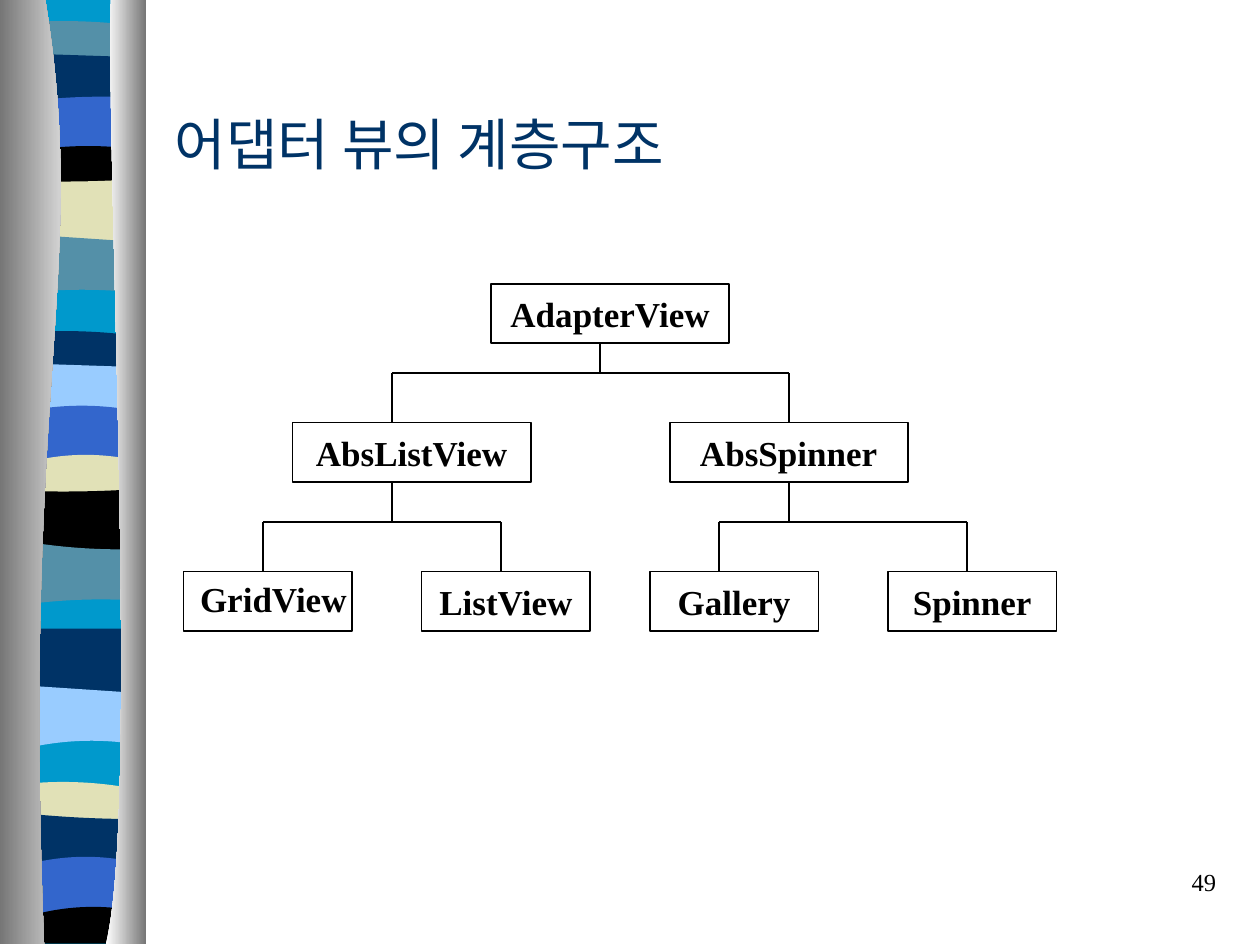
from dataclasses import dataclass

from lxml.etree import SubElement
from pptx import Presentation
from pptx.dml.color import RGBColor
from pptx.enum.shapes import MSO_CONNECTOR, MSO_SHAPE
from pptx.enum.text import MSO_ANCHOR, PP_ALIGN
from pptx.oxml.ns import qn
from pptx.util import Inches, Mm, Pt


@dataclass(frozen=True)
class Theme:
    ink: str = "000000"
    paper: str = "FFFFFF"
    navy: str = "003366"
    blue: str = "3366CC"
    sky: str = "99CCFF"
    teal: str = "0099CC"
    slate: str = "5490A8"
    sand: str = "E1E1B7"
    metal: str = "767676"
    title_font: str = "Noto Sans CJK KR"
    body_font: str = "Times New Roman"
    title_size: int = 32
    node_size: int = 20
    number_size: int = 14


THEME = Theme()


@dataclass(frozen=True)
class Band:
    """A ribbon stripe; its top edge passes through three heights in inches."""
    color: str
    left: float
    middle: float
    right: float


@dataclass(frozen=True)
class Node:
    """A class box on the 1 mm grid; label_shift moves the label right and up."""
    name: str
    column: int
    row: int
    width: int
    label_shift: tuple = (0, 0)


@dataclass(frozen=True)
class Branch:
    """A stem leaving a box, a crossbar, and a drop to each child box."""
    stem: int
    start_row: int
    bar_row: int
    drops: tuple
    end_row: int


BANDS = [
    Band(THEME.teal, 0, 0, 0),
    Band(THEME.slate, 0.17, 0.17, 0.19),
    Band(THEME.navy, 0.43, 0.44, 0.45),
    Band(THEME.blue, 0.79, 0.77, 0.77),
    Band(THEME.ink, 1.18, 1.16, 1.17),
    Band(THEME.sand, 1.44, 1.44, 1.43),
    Band(THEME.slate, 1.87, 1.89, 1.91),
    Band(THEME.teal, 2.31, 2.3, 2.31),
    Band(THEME.navy, 2.63, 2.63, 2.65),
    Band(THEME.sky, 2.89, 2.9, 2.91),
    Band(THEME.blue, 3.24, 3.22, 3.24),
    Band(THEME.sand, 3.64, 3.61, 3.63),
    Band(THEME.ink, 3.9, 3.9, 3.89),
    Band(THEME.slate, 4.32, 4.35, 4.36),
    Band(THEME.teal, 4.78, 4.76, 4.76),
    Band(THEME.navy, 4.99, 4.99, 4.99),
    Band(THEME.sky, 5.45, 5.47, 5.49),
    Band(THEME.teal, 5.91, 5.88, 5.89),
    Band(THEME.sand, 6.21, 6.21, 6.24),
    Band(THEME.navy, 6.47, 6.49, 6.5),
    Band(THEME.blue, 6.83, 6.8, 6.82),
    Band(THEME.ink, 7.24, 7.2, 7.21),
]
RIBBON_END = Band(THEME.teal, 7.49, 7.49, 7.49)
RIBBON_LEFT, RIBBON_RIGHT = 0.06, 1.14
BAND_OVERLAP = 0.02
UNITS = 1000  # outline units to the inch

BOX_HEIGHT, GRID_TOP = 12, 0.2
TOP_ROW, MIDDLE_ROW, LEAF_ROW = 57, 85, 115
NODES = [
    Node("AdapterView", 99, TOP_ROW, 48),
    Node("AbsListView", 59, MIDDLE_ROW, 48),
    Node("AbsSpinner", 135, MIDDLE_ROW, 48),
    Node("GridView", 37, LEAF_ROW, 34, label_shift=(1.1, 0.5)),
    Node("ListView", 85, LEAF_ROW, 34),
    Node("Gallery", 131, LEAF_ROW, 34),
    Node("Spinner", 179, LEAF_ROW, 34),
]
BRANCHES = [
    Branch(121, TOP_ROW + BOX_HEIGHT, 75, (79, 159), MIDDLE_ROW),
    Branch(79, MIDDLE_ROW + BOX_HEIGHT, 105, (53, 101), LEAF_ROW),
    Branch(159, MIDDLE_ROW + BOX_HEIGHT, 105, (145, 195), LEAF_ROW),
]


def color_of(code: str) -> RGBColor:
    return RGBColor.from_string(code)


def write_text(shape, text: str, *, size: int, font: str = THEME.body_font,
               color: str = THEME.ink, bold: bool = False, align=PP_ALIGN.LEFT,
               anchor=MSO_ANCHOR.TOP, wrap: bool = True) -> None:
    frame = shape.text_frame
    frame.word_wrap = wrap
    frame.vertical_anchor = anchor
    para = frame.paragraphs[0]
    para.alignment = align
    span = para.add_run()
    span.text = text
    span.font.name, span.font.size, span.font.bold = font, Pt(size), bold
    span.font.color.rgb = color_of(color)
    SubElement(span.font._element, qn("a:ea")).set("typeface", font)


def draw_outline(page, points: list, curve_starts: tuple = ()):
    """Closed outline; three points from each curve start form one Bezier curve."""
    scaled = [(x * UNITS, y * UNITS) for x, y in points]
    builder = page.shapes.build_freeform(*scaled[0], scale=Inches(1) / UNITS)
    builder.add_line_segments(scaled[1:], close=True)
    shape = builder.convert_to_shape()
    outline = next(shape._element.iter(qn("a:path")))
    segments = list(outline)
    for start in curve_starts:
        curve = SubElement(outline, qn("a:cubicBezTo"))
        outline.replace(segments[start], curve)
        curve.append(segments[start][0])
        for segment in segments[start + 1:start + 3]:
            curve.append(segment[0])
            outline.remove(segment)
    shape.shadow.inherit = False
    shape.line.fill.background()
    return shape


def band_edge(band: Band, offset: float = 0) -> list:
    """Bezier points of the parabola through the three heights of a band."""
    slope = (band.right - band.left) / 2
    bend = (band.right + band.left) / 2 - band.middle
    start, end = (RIBBON_LEFT - 0.65) / 0.3, (RIBBON_RIGHT - 0.65) / 0.3
    third = (end - start) / 3
    first, last = (band.middle + slope * u + bend * u * u for u in (start, end))
    heights = (first, first + third * (slope + 2 * bend * start),
               last - third * (slope + 2 * bend * end), last)
    step = (RIBBON_RIGHT - RIBBON_LEFT) / 3
    return [(RIBBON_LEFT + step * i, y + offset) for i, y in enumerate(heights)]


def draw_band(page, band: Band, following: Band) -> None:
    overlap = 0 if following.color == THEME.teal else BAND_OVERLAP
    lower = band_edge(following, overlap)
    shape = draw_outline(page, band_edge(band) + lower[::-1], (1, 5))
    shape.fill.solid()
    shape.fill.fore_color.rgb = color_of(band.color)


def draw_column(page, outer: float, curve: list, colors: tuple) -> None:
    """A metal column between a straight outer side and a Bezier inner side."""
    shape = draw_outline(page, curve + [(outer, 7.49), (outer, 0)], (1,))
    shape.fill.gradient()
    shape.fill.gradient_angle = 0
    for stop, code in zip(shape.fill.gradient_stops, colors):
        stop.color.rgb = color_of(code)


def draw_line(page, start: tuple, end: tuple) -> None:
    (x1, y1), (x2, y2) = start, end
    line = page.shapes.add_connector(MSO_CONNECTOR.STRAIGHT, Mm(x1), Mm(y1 + GRID_TOP),
                                     Mm(x2), Mm(y2 + GRID_TOP))
    line.line.color.rgb = color_of(THEME.ink)
    line.line.width = Pt(1)
    SubElement(line._element.spPr, qn("a:effectLst"))


def draw_branch(page, branch: Branch) -> None:
    bar = branch.bar_row
    draw_line(page, (branch.stem, branch.start_row), (branch.stem, bar))
    draw_line(page, (branch.drops[0], bar), (branch.drops[-1], bar))
    for drop in branch.drops:
        draw_line(page, (drop, bar), (drop, branch.end_row))


def draw_node(page, node: Node) -> None:
    box = page.shapes.add_shape(MSO_SHAPE.RECTANGLE, Mm(node.column), Mm(node.row + GRID_TOP),
                                Mm(node.width), Mm(BOX_HEIGHT))
    box.shadow.inherit = False
    box.fill.solid()
    box.fill.fore_color.rgb = color_of(THEME.paper)
    box.line.color.rgb = color_of(THEME.ink)
    box.line.width = Pt(1)
    right, up = node.label_shift
    box.text_frame.margin_left = Inches(0.1) + Mm(2 * right)
    box.text_frame.margin_bottom = Inches(0.05) + Mm(2 * up)
    write_text(box, node.name, size=THEME.node_size, bold=True, align=PP_ALIGN.CENTER,
               anchor=MSO_ANCHOR.MIDDLE, wrap=False)


def main() -> None:
    deck = Presentation()
    deck.slide_width, deck.slide_height = Inches(10), Inches(7.5)
    page = deck.slides.add_slide(deck.slide_layouts[6])

    # Striped ribbon between two metal columns; the teal base shows as teal bands
    draw_band(page, BANDS[0], RIBBON_END)
    for band, following in zip(BANDS, BANDS[1:] + [RIBBON_END]):
        if band.color != THEME.teal:
            draw_band(page, band, following)
    draw_column(page, 0, [(0.36, 0), (0.71, 2.16), (0.17, 2.96), (0.35, 7.49)],
                (THEME.metal, THEME.paper))
    draw_column(page, 1.16, [(0.88, 0), (0.84, 1.25), (1.11, 6.46), (0.84, 7.49)],
                (THEME.paper, THEME.metal))

    # Title and page number
    title = page.shapes.add_textbox(Inches(1.29), Inches(0.51), Inches(8.5), Inches(1.25))
    write_text(title, "어댑터 뷰의 계층구조", size=THEME.title_size, font=THEME.title_font,
               color=THEME.navy, anchor=MSO_ANCHOR.MIDDLE)
    number = page.shapes.add_textbox(Inches(7.67), Inches(6.83), Inches(2.08), Inches(0.5))
    write_text(number, "49", size=THEME.number_size, align=PP_ALIGN.RIGHT)

    # Class hierarchy
    for branch in BRANCHES:
        draw_branch(page, branch)
    for node in NODES:
        draw_node(page, node)

    deck.save("out.pptx")


if __name__ == "__main__":
    main()
